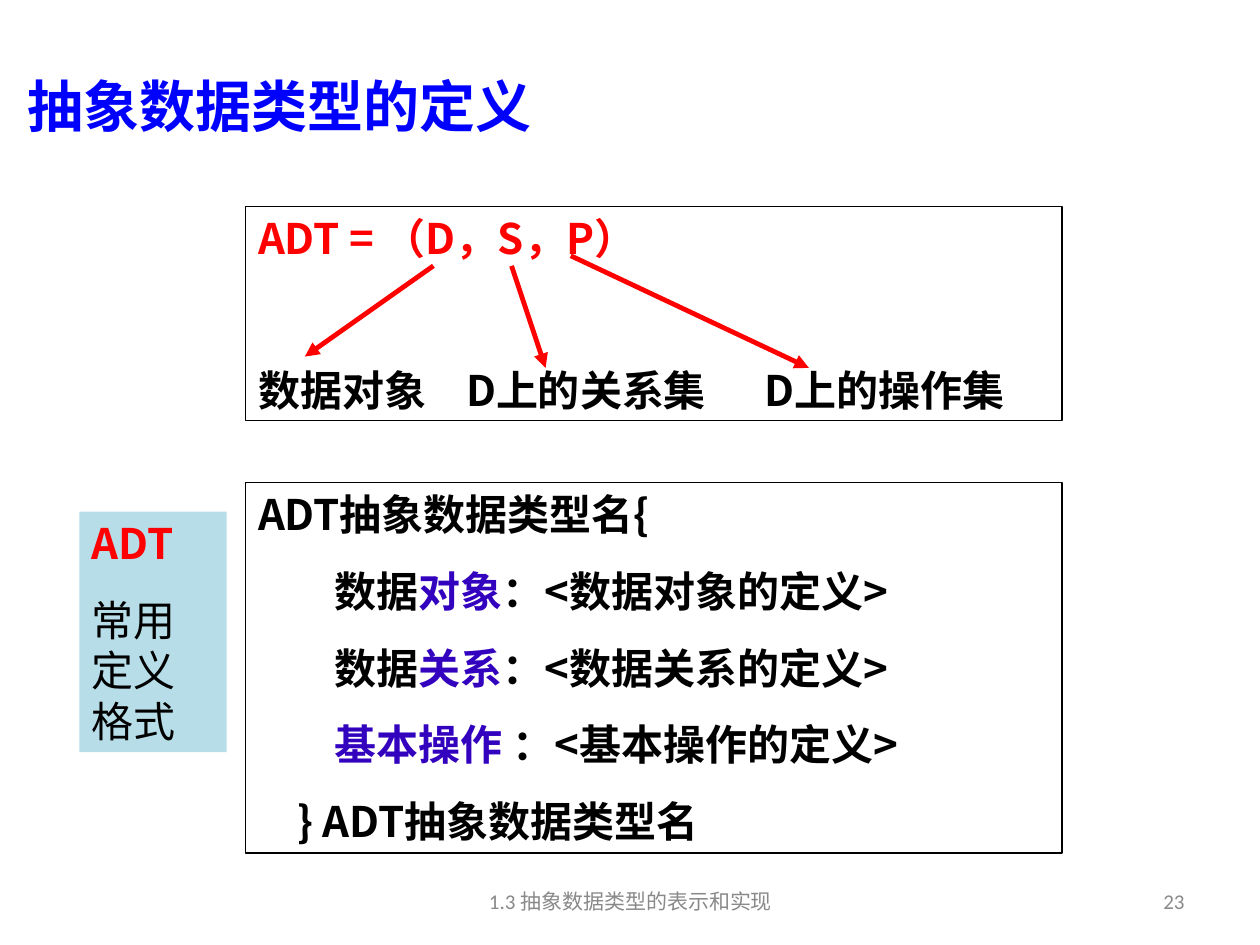
from lxml.etree import SubElement
from pptx import Presentation
from pptx.dml.color import RGBColor
from pptx.enum.shapes import MSO_CONNECTOR, MSO_SHAPE
from pptx.enum.text import MSO_ANCHOR, PP_ALIGN
from pptx.oxml.ns import qn
from pptx.util import Inches, Pt

BLACK, RED, BLUE, VIOLET = "000000", "FF0000", "0000FF", "3302BE"
GREY, PALE = "898989", "B7DEE8"
HEADING_FONT, FOOTER_FONT = "Noto Sans CJK SC", "Calibri"
FRAME_LEFT, FRAME_WIDTH = 1.95, 6.48
FIELD_INDENT, CLOSE_INDENT = 0.61, 0.31

TITLE = [dict(spans=["抽象数据类型的定义"], size=32, color=BLUE)]
TRIPLE = [
    dict(spans=["ADT = （D，S，P）"], color=RED),
    dict(spans=["数据对象\tD上的关系集\tD上的操作集"], before=57.6, tabs=[1.65, 4.02]),
]
FIELDS = [
    ["数据", ("对象", VIOLET), "：<数据对象的定义>"],
    ["数据", ("关系", VIOLET), "：<数据关系的定义>"],
    [("基本操作 ", VIOLET), "：<基本操作的定义>"],
]
FORMAT = [
    dict(spans=["ADT抽象数据类型名{"]),
    *[dict(spans=spans, before=15, indent=FIELD_INDENT) for spans in FIELDS],
    dict(spans=["} ADT抽象数据类型名"], before=15, indent=CLOSE_INDENT),
]
CAPTION = [
    dict(spans=["ADT"], color=RED),
    dict(spans=["常用定义格式"], before=15, bold=False),
]
SMALL = dict(size=12, color=GREY, bold=False, name=FOOTER_FONT)
FOOTER = [dict(spans=["1.3 抽象数据类型的表示和实现"], align=PP_ALIGN.CENTER, **SMALL)]
NUMBER = [dict(spans=["23"], align=PP_ALIGN.RIGHT, **SMALL)]
ARROWS = [
    ((3.44, 2.11), (2.42, 2.83)),
    ((4.06, 2.11), (4.33, 2.92)),
    ((4.53, 2.03), (6.42, 2.92)),
]


def rgb(value):
    return RGBColor.from_string(value)


def write_paragraph(para, spans, size=24, color=BLACK, bold=True, name=HEADING_FONT,
                    before=0, indent=0, tabs=(), align=PP_ALIGN.LEFT):
    para.alignment = align
    para.space_before = Pt(before)
    para.line_spacing = Pt(size * 1.2)
    properties = para._p.get_or_add_pPr()
    properties.set("marL", str(Inches(indent)))
    if tabs:
        tab_list = SubElement(properties, qn("a:tabLst"))
        for stop in tabs:
            SubElement(tab_list, qn("a:tab"), pos=str(Inches(stop)), algn="l")
    font = para.font
    font.size, font.bold, font.name = Pt(size), bold, name
    font.color.rgb = rgb(color)
    if name == HEADING_FONT:
        SubElement(properties.find(qn("a:defRPr")), qn("a:ea"), typeface=name)
    for span in spans:
        text, span_color = (span, None) if isinstance(span, str) else span
        run = para.add_run()
        run.text = text
        if span_color:
            run.font.color.rgb = rgb(span_color)


def write_text(box, paragraphs, anchor=MSO_ANCHOR.TOP):
    frame = box.text_frame
    frame.word_wrap = True
    frame.vertical_anchor = anchor
    for index, content in enumerate(paragraphs):
        para = frame.add_paragraph() if index else frame.paragraphs[0]
        write_paragraph(para, **content)


def add_text(page, place, paragraphs, anchor=MSO_ANCHOR.TOP):
    write_text(page.shapes.add_textbox(*map(Inches, place)), paragraphs, anchor)


def add_panel(page, place, paragraphs, fill=None, line=None):
    box = page.shapes.add_shape(MSO_SHAPE.RECTANGLE, *map(Inches, place))
    box.shadow.inherit = False
    if fill:
        box.fill.solid()
        box.fill.fore_color.rgb = rgb(fill)
    else:
        box.fill.background()
    if line:
        box.line.color.rgb = rgb(line)
        box.line.width = Pt(0.75)
    else:
        box.line.fill.background()
    write_text(box, paragraphs)


def add_arrow(page, start, end):
    arrow = page.shapes.add_connector(MSO_CONNECTOR.STRAIGHT, *map(Inches, start + end))
    arrow.line.color.rgb = rgb(RED)
    arrow.line.width = Pt(2.75)
    SubElement(arrow.line._get_or_add_ln(), qn("a:tailEnd"), type="triangle")
    SubElement(arrow._element.spPr, qn("a:effectLst"))


def main():
    deck = Presentation()
    deck.slide_width, deck.slide_height = Inches(10), Inches(7.5)
    page = deck.slides.add_slide(deck.slide_layouts[6])
    add_text(page, (3.42, 6.95, 3.17, 0.4), FOOTER, MSO_ANCHOR.MIDDLE)
    add_text(page, (7.17, 6.95, 2.33, 0.4), NUMBER, MSO_ANCHOR.MIDDLE)
    add_text(page, (0.12, 0.52, 9.76, 0.73), TITLE)
    add_panel(page, (FRAME_LEFT, 1.64, FRAME_WIDTH, 1.7), TRIPLE, line=BLACK)
    add_panel(page, (FRAME_LEFT, 3.83, FRAME_WIDTH, 2.94), FORMAT, line=BLACK)
    add_panel(page, (0.63, 4.06, 1.17, 1.91), CAPTION, fill=PALE)
    for start, end in ARROWS:
        add_arrow(page, start, end)
    deck.save("out.pptx")


if __name__ == "__main__":
    main()
